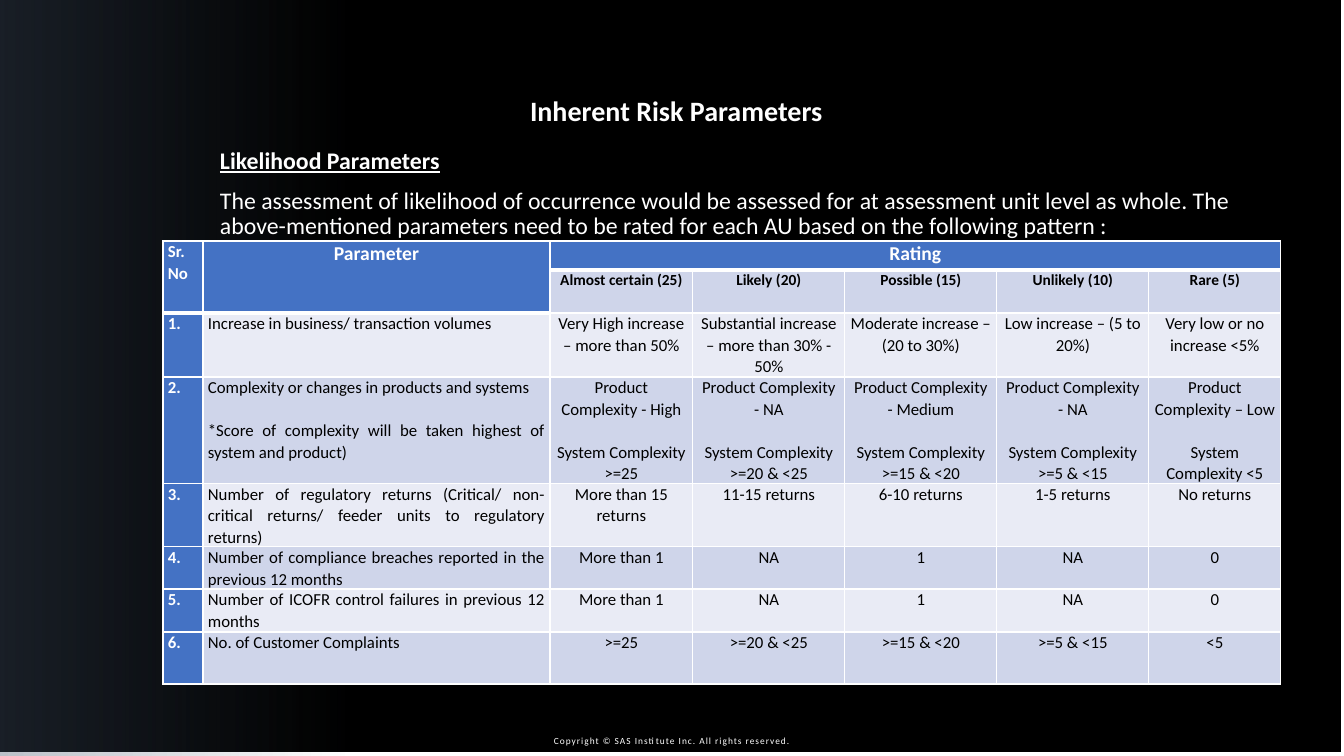
import pptx
import pptx.util
import pptx.dml.color
import pptx.enum.shapes
import pptx.enum.text
import pptx.oxml
import pptx.oxml.ns
from lxml import etree

TITLE = "Inherent Risk Parameters "
SUBTITLE = "Likelihood Parameters"
INTRO = ("The assessment of likelihood of occurrence would be assessed for at assessment unit level as whole. "
         "The above-mentioned parameters need to be rated for each AU based on the following pattern :")
COPYRIGHT = "Copyright © SAS Institute Inc. All rights reserved."
HEADINGS = ["Sr. No", "Parameter", "Rating", "", "", "", ""]
RATINGS = ["", "", "Almost certain (25)", "Likely (20)", "Possible (15)", "Unlikely (10)", "Rare (5)"]
PARAMETERS = [
    ["1.", "Increase in business/ transaction volumes", "Very High increase – more than 50%",
     "Substantial increase – more than 30% - 50%", "Moderate increase – (20 to 30%)",
     "Low increase – (5 to 20%)", "Very low or no increase <5%"],
    ["2.", "Complexity or changes in products and systems\n"
     "*Score of complexity will be taken highest of system and product)",
     "Product Complexity - High\nSystem Complexity >=25",
     "Product Complexity - NA\nSystem Complexity >=20 & <25",
     "Product Complexity - Medium\nSystem Complexity >=15 & <20",
     "Product Complexity - NA\nSystem Complexity\n>=5 & <15",
     "Product Complexity – Low\nSystem Complexity <5"],
    ["3.", "Number of regulatory returns (Critical/ non-critical returns/ feeder units to regulatory returns)",
     "More than 15 returns", "11-15 returns", "6-10 returns", "1-5 returns", "No returns"],
    ["4.", "Number of compliance breaches reported in the previous 12 months",
     "More than 1", "NA", "1", "NA", "0"],
    ["5.", "Number of ICOFR control failures in previous 12 months",
     "More than 1", "NA", "1", "NA", "0"],
    ["6.", "No. of Customer Complaints", ">=25", ">=20 & <25", ">=15 & <20", ">=5 & <15", "<5"],
]
COL_WIDTHS = [40, 347, 143, 152, 152, 152, 132]
ROW_HEIGHTS = [29, 43, 64, 106, 63, 42, 43, 52]
C = {"white": "FFFFFF", "black": "000000", "slate": "44546A",
     "blue": "4472C4", "mid": "CFD5EA", "pale": "E9EBF5"}
FONT = "Calibri"
ALIGN = pptx.enum.text.PP_ALIGN
ANCHOR = pptx.enum.text.MSO_ANCHOR
Pt = pptx.util.Pt


def px(n):
    return pptx.util.Emu(round(n * 914400 / 100.8))


def rgb(name):
    return pptx.dml.color.RGBColor.from_string(C[name])


def style(p, size, color, bold=False, align=None, spacing=None):
    p.alignment = align
    p.line_spacing = spacing
    for r in p.runs:
        r.font.name = FONT
        r.font.size = Pt(size)
        r.font.bold = bold
        r.font.color.rgb = rgb(color)


def add_panel(s, *box):
    sp = s.shapes.add_shape(pptx.enum.shapes.MSO_SHAPE.RECTANGLE, *map(px, box))
    sp.shadow.inherit = False
    sp.line.fill.background()
    return sp


def add_text(s, text, *box):
    tf = s.shapes.add_textbox(*map(px, box)).text_frame
    tf.word_wrap = True
    tf.text = text
    return tf


def add_border(cell, side, width):
    tcPr = cell._tc.get_or_add_tcPr()
    ln = etree.SubElement(tcPr, pptx.oxml.ns.qn("a:ln" + side), w=str(Pt(width)))
    fill = etree.SubElement(ln, pptx.oxml.ns.qn("a:solidFill"))
    etree.SubElement(fill, pptx.oxml.ns.qn("a:srgbClr"), val=C["white"])


def cell_style(row, col):
    if row == 0:
        return "blue", "white", 12 if col == 0 else 14, True
    if col == 0:
        return "blue", "white", 12, True
    if row == 1:
        return "mid", "black", 11, True
    return "pale" if row % 2 == 0 else "mid", "black", 12, False


def fill_cell(cell, text, row, col):
    fill, color, size, bold = cell_style(row, col)
    header_end = row == 0 or (row == 1 and col < 2)
    for side in "LRTB":
        add_border(cell, side, 3 if header_end and side == "B" else 1)
    cell.fill.solid()
    cell.fill.fore_color.rgb = rgb(fill)
    cell.margin_left = cell.margin_right = px(5)
    cell.margin_top = cell.margin_bottom = 0
    if not text:
        return
    justified = col == 0 or (col == 1 and row > 0)
    cell.text_frame.text = text
    for i, p in enumerate(cell.text_frame.paragraphs):
        style(p, size, color, bold, ALIGN.JUSTIFY if justified else ALIGN.CENTER, 1.05)
        if i == 1:
            p.space_before = Pt(15.4)


def add_ratings_table(s):
    rows = [HEADINGS, RATINGS] + PARAMETERS
    t = s.shapes.add_table(len(rows), len(COL_WIDTHS), px(163), px(241),
                           px(sum(COL_WIDTHS)), px(sum(ROW_HEIGHTS))).table
    t.horz_banding = False
    for column, width in zip(t.columns, COL_WIDTHS):
        column.width = px(width)
    for row, height in zip(t.rows, ROW_HEIGHTS):
        row.height = px(height)
    for i, texts in enumerate(rows):
        for j, text in enumerate(texts):
            fill_cell(t.cell(i, j), text, i, j)
    for j in range(2):
        t.cell(0, j).merge(t.cell(1, j))
    t.cell(0, 2).merge(t.cell(0, 6))


def main():
    prs = pptx.Presentation()
    prs.slide_width, prs.slide_height = px(1344), px(756)
    s = prs.slides.add_slide(prs.slide_layouts[5])

    backdrop = add_panel(s, 0, -1, 1341, 753)
    backdrop.fill.solid()
    backdrop.fill.fore_color.rgb = rgb("black")

    glow = add_panel(s, 0, 0, 354, 757)
    glow.fill.gradient()
    glow.fill.gradient_angle = 180
    for stop, position, opacity in zip(glow.fill.gradient_stops, (0.02, 1), (0, 36)):
        stop.position = position
        stop.color.rgb = rgb("slate")
        color = stop._gs.find(pptx.oxml.ns.qn("a:srgbClr"))
        etree.SubElement(color, pptx.oxml.ns.qn("a:alpha"), val=str(opacity * 1000))

    tf = add_text(s, COPYRIGHT, 487, 730, 370, 21)
    tf.vertical_anchor = ANCHOR.BOTTOM
    style(tf.paragraphs[0], 6.7, "white", align=ALIGN.CENTER)
    tf.paragraphs[0].runs[0].font._element.set("spc", "70")

    add_ratings_table(s)

    title = s.shapes.title
    s.shapes._spTree.append(title._element)
    title.left, title.top, title.width, title.height = map(px, (61, 88, 1237, 44))
    title.text_frame.text = TITLE
    title.text_frame.vertical_anchor = ANCHOR.TOP
    style(title.text_frame.paragraphs[0], 20, "white", True, ALIGN.CENTER)

    tf = add_text(s, SUBTITLE + "\n" + INTRO, 210, 144, 1052, 105)
    heading, intro = tf.paragraphs
    style(heading, 17, "white", True, spacing=0.9)
    heading.runs[0].font.underline = True
    style(intro, 17, "white", spacing=0.9)
    intro.space_before = Pt(10)

    prs.save("out.pptx")


if __name__ == "__main__":
    main()
